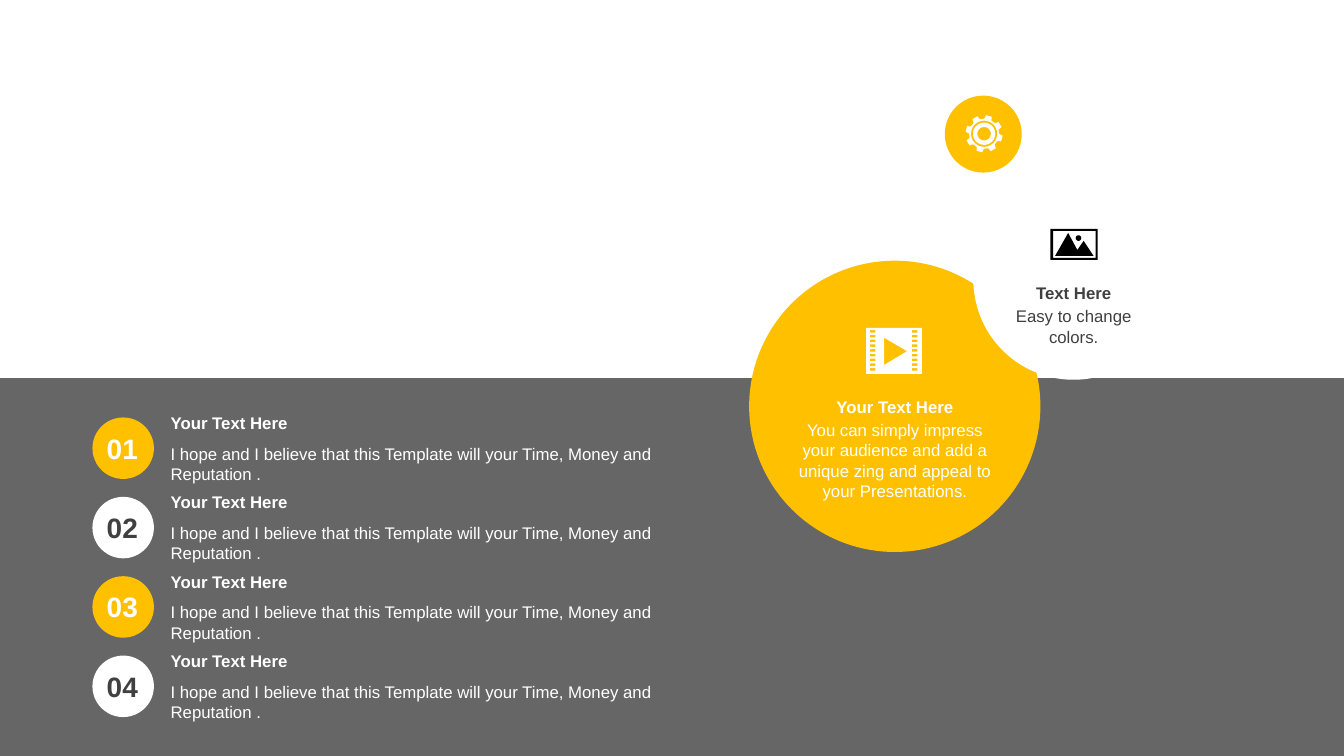
from dataclasses import dataclass
from math import cos, radians, sin

from lxml.etree import SubElement
from pptx import Presentation
from pptx.dml.color import RGBColor
from pptx.enum.shapes import MSO_SHAPE
from pptx.enum.text import MSO_AUTO_SIZE, PP_ALIGN
from pptx.oxml.ns import qn
from pptx.util import Cm, Pt


@dataclass(frozen=True)
class Theme:
    font: str = "Arial"
    accent: str = "FFC000"
    white: str = "FFFFFF"
    black: str = "000000"
    dark: str = "404040"
    body_size: int = 12
    number_size: int = 20


class SlideBuilder:
    def __init__(self, slide, theme):
        self.slide = slide
        self.theme = theme

    def paint(self, shape, color, opacity=100):
        shape.shadow.inherit = False
        shape.fill.solid()
        shape.fill.fore_color.rgb = RGBColor.from_string(color)
        shape.line.fill.background()
        if opacity < 100:
            color_element = shape.fill._xPr.find(f"{qn('a:solidFill')}/{qn('a:srgbClr')}")
            SubElement(color_element, qn("a:alpha"), val=str(opacity * 1000))

    def band(self, left, top, width, height, color, opacity):
        shape = self.slide.shapes.add_shape(
            MSO_SHAPE.RECTANGLE, Cm(left), Cm(top), Cm(width), Cm(height))
        self.paint(shape, color, opacity)

    def circle(self, left, top, diameter, color):
        shape = self.slide.shapes.add_shape(
            MSO_SHAPE.OVAL, Cm(left), Cm(top), Cm(diameter), Cm(diameter))
        self.paint(shape, color)

    def text(self, left, top, width, height, content, color, size=None,
             bold=False, align=PP_ALIGN.LEFT, wrap=True):
        box = self.slide.shapes.add_textbox(Cm(left), Cm(top), Cm(width), Cm(height))
        frame = box.text_frame
        frame.word_wrap = wrap
        frame.auto_size = MSO_AUTO_SIZE.SHAPE_TO_FIT_TEXT
        paragraph = frame.paragraphs[0]
        paragraph.text = content
        paragraph.alignment = align
        font = paragraph.font
        font.name = self.theme.font
        font.size = Pt(size or self.theme.body_size)
        font.bold = bold
        font.color.rgb = RGBColor.from_string(color)

    def icon(self, outlines, color):
        contours = [[(Cm(x), Cm(y)) for x, y in outline] for outline in outlines]
        builder = self.slide.shapes.build_freeform(*contours[0][0])
        builder.add_line_segments(contours[0][1:], close=True)
        for contour in contours[1:]:
            builder.move_to(*contour[0])
            builder.add_line_segments(contour[1:], close=True)
        self.paint(builder.convert_to_shape(), color)


def polar(center, radius, degrees):
    angle = radians(degrees)
    return center[0] + radius * cos(angle), center[1] + radius * sin(angle)


def ring(center, radius):
    return [polar(center, radius, degrees) for degrees in range(0, 360, 10)]


def rectangle(left, top, right, bottom):
    return [(left, top), (right, top), (right, bottom), (left, bottom)]


def film_outlines():
    outlines = [rectangle(21.83, 8.26, 23.23, 9.42)]
    for row in range(9):
        top = 8.32 + 0.12 * row
        for left in (21.92, 22.98):
            outlines.append(rectangle(left, top, left + 0.14, top + 0.06))
    outlines.append([(22.28, 8.51), (22.28, 9.2), (22.86, 8.85)])
    return outlines


def landscape_outlines():
    mountains = [(26.92, 5.87), (27.15, 6.3), (27.31, 6.07), (27.56, 6.45), (26.59, 6.45)]
    return [rectangle(26.47, 5.77, 27.66, 6.55), rectangle(26.54, 5.82, 27.61, 6.5),
            mountains, ring((27.18, 6), 0.07)]


def gear_outlines():
    center = (24.8, 3.37)
    corners = ((-14, 0.38), (-9, 0.47), (9, 0.47), (14, 0.38))
    teeth = [polar(center, radius, tooth + offset)
             for tooth in range(-75, 285, 45) for offset, radius in corners]
    return [teeth] + [ring(center, radius) for radius in (0.33, 0.28, 0.17)]


def main():
    presentation = Presentation()
    presentation.slide_width = Cm(33.87)
    presentation.slide_height = Cm(19.05)
    slide = presentation.slides.add_slide(presentation.slide_layouts[6])
    theme = Theme()
    builder = SlideBuilder(slide, theme)

    builder.band(0, 9.53, 33.87, 9.52, theme.black, 60)

    row_styles = [(theme.accent, theme.white), (theme.white, theme.dark)] * 2
    for row, (circle_color, number_color) in enumerate(row_styles):
        offset = 2 * row
        builder.circle(2.33, 10.52 + offset, 1.55, circle_color)
        builder.text(2.44, 10.74 + offset, 1.3, 1.11, f"{row + 1:02}", number_color,
                     theme.number_size, bold=True, wrap=False)
        builder.text(4.05, 11.05 + offset, 13.67, 1.28,
                     "I hope and I believe that this Template will your Time, "
                     "Money and Reputation .", theme.white)
        builder.text(4.05, 10.27 + offset, 13.57, 0.77, "Your Text Here", theme.white, bold=True)

    builder.circle(18.88, 6.57, 7.34, theme.accent)
    builder.circle(24.53, 4.52, 5.05, theme.white)
    builder.circle(23.81, 2.41, 1.94, theme.accent)

    builder.text(19.79, 10.46, 5.53, 2.31,
                 "You can simply impress your audience and add a unique zing "
                 "and appeal to your Presentations.", theme.white, align=PP_ALIGN.CENTER)
    builder.text(19.79, 9.86, 5.53, 0.77, "Your Text Here", theme.white,
                 bold=True, align=PP_ALIGN.CENTER)
    builder.text(24.9, 7.59, 4.32, 1.28, "Easy to change colors.", theme.dark,
                 align=PP_ALIGN.CENTER)
    builder.text(24.9, 7.01, 4.32, 0.77, "Text Here", theme.dark,
                 bold=True, align=PP_ALIGN.CENTER)

    builder.icon(film_outlines(), theme.white)
    builder.icon(landscape_outlines(), theme.black)
    builder.icon(gear_outlines(), theme.white)

    presentation.save("out.pptx")


if __name__ == "__main__":
    main()
